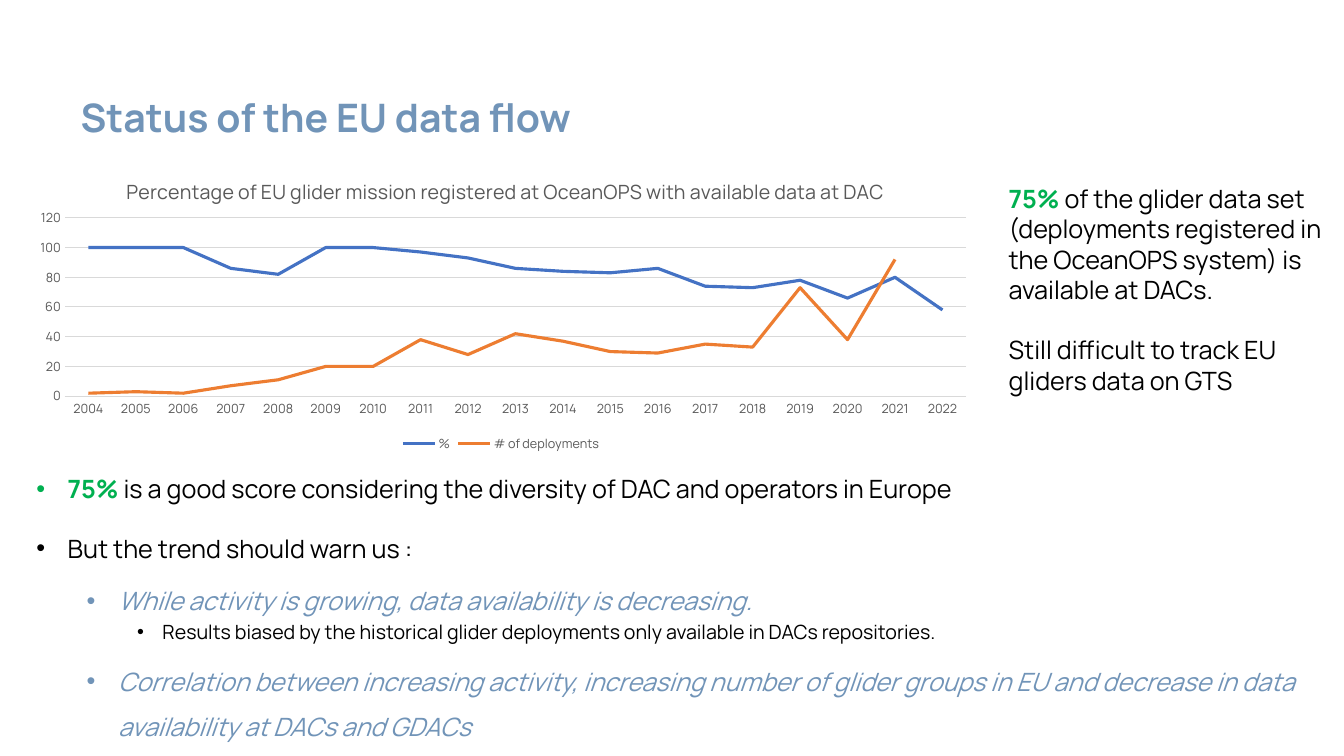
import pptx
import pptx.chart.data
import pptx.dml.color
import pptx.enum.chart
import pptx.enum.text
import pptx.oxml
import pptx.oxml.ns
import pptx.util
import lxml.etree

Cm, Pt = pptx.util.Cm, pptx.util.Pt
qn = pptx.oxml.ns.qn
BLUE, GREEN, BLACK, GREY, PALE = "7194B8", "00B050", "000000", "595959", "D9D9D9"

YEARS = [str(year) for year in range(2004, 2023)]
LINES = [
    ("%", "4472C4", [100, 100, 100, 86, 82, 100, 100, 97, 93, 86,
                     84, 83, 86, 74, 73, 78, 66, 80, 58]),
    ("# of deployments", "ED7D31", [2, 3, 2, 7, 11, 20, 20, 38, 28, 42,
                                    37, 30, 29, 35, 33, 73, 38, 92, None]),
]

GOOD = dict(size=18, color=GREEN, bold=True)
PLAIN = dict(size=18, color=BLACK, bold=False)
SLANT = dict(size=18, color=BLUE, italic=True)
SMALL = dict(size=14, color=BLACK)
LEVELS = [(0.79, 0.79, 10, 1.5), (2.06, 0.79, 5, 1.5), (3.18, 0.64, 5, 0.9)]
POINTS = [
    (0, [("75%", GOOD),
         (" is a good score considering the diversity of DAC and operators in Europe", PLAIN)]),
    (0, [("But the trend should warn us :", PLAIN)]),
    (1, [("While activity is growing, data availability is decreasing.", SLANT)]),
    (2, [("Results biased by the historical glider deployments only available "
          "in DACs repositories.", SMALL)]),
    (1, [("Correlation between increasing activity, increasing number of glider groups in EU "
          "and decrease in data availability at DACs and GDACs", SLANT)]),
]
ASIDE = [
    [("75% ", GOOD),
     ("of the glider data set (deployments registered in the OceanOPS system) "
      "is available at DACs.", PLAIN)],
    [("Still difficult to track EU gliders data on GTS", PLAIN)],
]


def paint(code):
    return pptx.dml.color.RGBColor.from_string(code)


class Page:
    """Hold the style and the current slide, and add each kind of element."""

    def __init__(self, slide, face):
        self.slide = slide
        self.face = face

    def style(self, font, size, color, **rest):
        font.color.rgb = paint(color)
        for key, value in dict(name=self.face, size=Pt(size), **rest).items():
            setattr(font, key, value)

    def place(self, shape, box):
        for key, value in zip(("left", "top", "width", "height"), box):
            setattr(shape, key, Cm(value))
        frame = shape.text_frame
        traits = dict(word_wrap=True, auto_size=pptx.enum.text.MSO_AUTO_SIZE.NONE,
                      vertical_anchor=pptx.enum.text.MSO_ANCHOR.TOP)
        for key, value in traits.items():
            setattr(frame, key, value)
        return frame

    def para(self, frame, num, runs, **traits):
        para = frame.add_paragraph() if num else frame.paragraphs[0]
        para.alignment = pptx.enum.text.PP_ALIGN.LEFT
        for key, value in traits.items():
            setattr(para, key, value)
        for text, look in runs:
            run = para.add_run()
            run.text = text
            self.style(run.font, **look)
        return para

    def title(self, text, box):
        frame = self.place(self.slide.shapes.title, box)
        look = dict(size=28, color=BLUE, bold=True)
        self.para(frame, 0, [(text, look)], line_spacing=0.9)

    def bullets(self, points, box):
        frame = self.place(self.slide.placeholders[1], box)
        for num, (level, runs) in enumerate(points):
            left, hang, gap, pitch = LEVELS[level]
            para = self.para(frame, num, runs, level=level, line_spacing=pitch,
                             space_before=Pt(gap), space_after=Pt(0))
            props = para._p.get_or_add_pPr()
            props.set("marL", str(Cm(left)))
            props.set("indent", str(-Cm(hang)))
            lxml.etree.SubElement(props, qn("a:buFont")).set("typeface", "Arial")
            lxml.etree.SubElement(props, qn("a:buChar")).set("char", "•")

    def note(self, blocks, box):
        shape = self.slide.shapes.add_textbox(*map(Cm, box))
        frame = self.place(shape, box)
        for num, runs in enumerate(blocks):
            self.para(frame, num, runs, space_before=Pt(21.6 if num else 0))

    def layout(self, node, spot, **parts):
        for old in node.findall(qn("c:layout")):
            node.remove(old)
        outer = lxml.etree.Element(qn("c:layout"))
        node.insert(spot, outer)
        manual = lxml.etree.SubElement(outer, qn("c:manualLayout"))
        for key, value in parts.items():
            lxml.etree.SubElement(manual, qn("c:" + key)).set("val", str(value))

    def chart(self, head, years, lines, box):
        kinds = pptx.enum.chart
        data = pptx.chart.data.CategoryChartData()
        data.categories = years
        for name, _, values in lines:
            data.add_series(name, values)
        chart = self.slide.shapes.add_chart(
            kinds.XL_CHART_TYPE.LINE, *map(Cm, box), data).chart
        self.style(chart.font, 10, BLACK)

        frame = chart.chart_title.text_frame
        run = frame.paragraphs[0].add_run()
        run.text = head
        self.style(run.font, 14, GREY, bold=False)
        self.layout(chart.chart_title._element, 1,
                    xMode="edge", yMode="edge", x=0.11, y=0.06)
        self.layout(chart._chartSpace.find(".//" + qn("c:plotArea")), 0,
                    layoutTarget="inner", xMode="edge", yMode="edge",
                    x=0.05, y=0.21, w=0.93, h=0.59)

        chart.has_legend = True
        chart.legend.position = kinds.XL_LEGEND_POSITION.BOTTOM
        chart.legend.include_in_layout = False
        self.style(chart.legend.font, 9, GREY)
        for axis in (chart.category_axis, chart.value_axis):
            axis.major_tick_mark = axis.minor_tick_mark = kinds.XL_TICK_MARK.NONE
            self.style(axis.tick_labels.font, 9, GREY)
        scale = dict(minimum_scale=0, maximum_scale=120, major_unit=20,
                     has_major_gridlines=True)
        for key, value in scale.items():
            setattr(chart.value_axis, key, value)
        chart.value_axis.format.line.fill.background()
        for part in (chart.category_axis, chart.value_axis.major_gridlines):
            self.stroke(part.format.line, PALE, 0.75)

        chart.plots[0].vary_by_categories = False
        for series, (_, color, _) in zip(chart.plots[0].series, lines):
            series.smooth = False
            series.marker.style = kinds.XL_MARKER_STYLE.NONE
            self.stroke(series.format.line, color, 2.25)

    def stroke(self, line, color, width):
        line.color.rgb = paint(color)
        line.width = Pt(width)


def main():
    deck = pptx.Presentation()
    deck.slide_width, deck.slide_height = Cm(33.87), Cm(19.05)
    page = Page(deck.slides.add_slide(deck.slide_layouts[1]), "Manrope")
    page.bullets(POINTS, (0.66, 11.43, 32.31, 7.62))
    page.title("Status of the EU data flow", (1.78, 2.36, 29.79, 2.03))
    page.chart("Percentage of EU glider mission registered at OceanOPS with available data at DAC",
               YEARS, LINES, (0.41, 3.89, 24.43, 7.62))
    page.note(ASIDE, (25.17, 4.5, 8.7, 5.64))
    deck.save("out.pptx")


if __name__ == "__main__":
    main()
